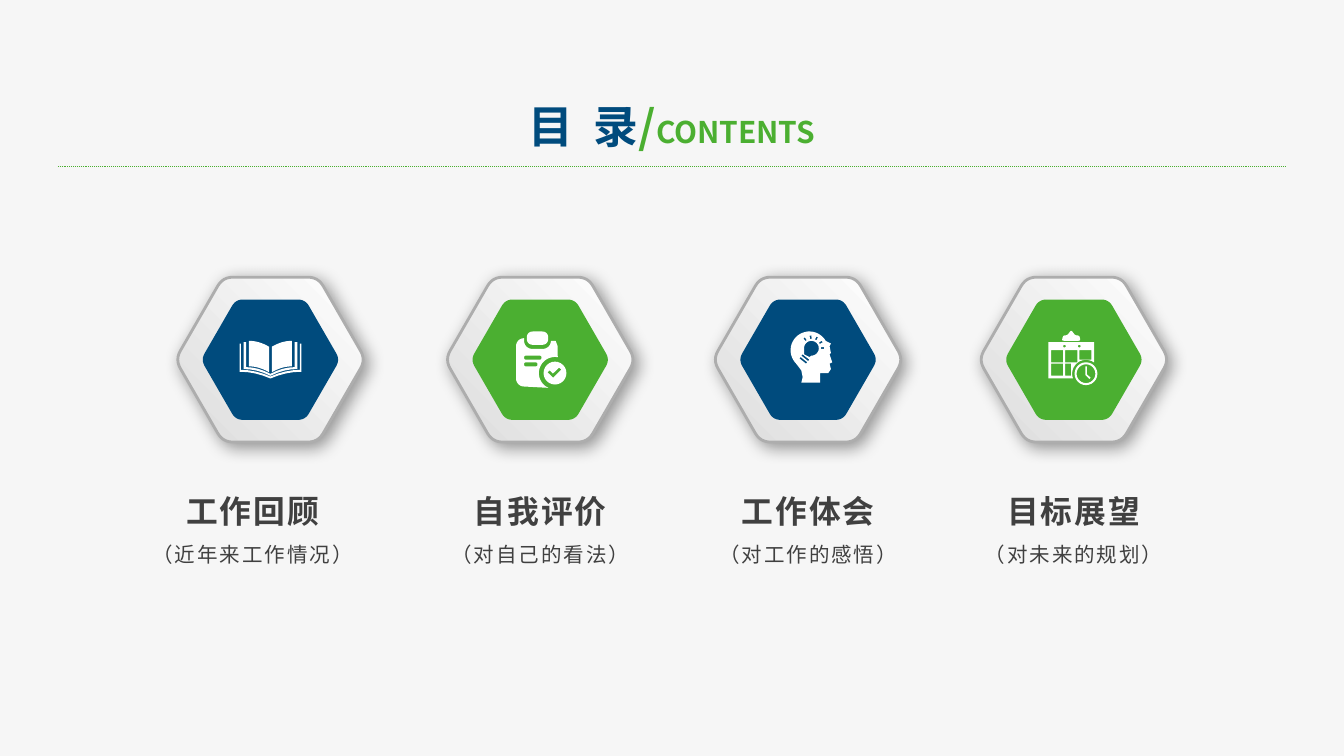
from math import cos, hypot, radians, sin

from lxml.etree import SubElement
from pptx import Presentation
from pptx.dml.color import RGBColor
from pptx.enum.dml import MSO_LINE
from pptx.enum.shapes import MSO_CONNECTOR
from pptx.enum.text import MSO_AUTO_SIZE, PP_ALIGN
from pptx.oxml import parse_xml
from pptx.oxml.ns import qn
from pptx.util import Pt

FONT = "Noto Sans CJK SC"
BLUE = RGBColor(0x00, 0x4B, 0x7D)
GREEN = RGBColor(0x4B, 0xAF, 0x31)
TEXT_GRAY = RGBColor(0x40, 0x40, 0x40)
EDGE_GRAY = RGBColor(0xAD, 0xAD, 0xAD)
PALE_GRAY = RGBColor(0xDC, 0xDC, 0xDC)
WHITE = RGBColor(0xFF, 0xFF, 0xFF)
BACKGROUND = RGBColor(0xF6, 0xF6, 0xF6)

TITLE = [("目  录", 24, BLUE), ("/", 24, GREEN), ("CONTENTS", 16, GREEN)]
# Hexagon centre, label centre, label width, heading, note, colour, icon
TOPICS = [
    (144.9, 135.4, 124, "工作回顾", "（近年来工作情况）", BLUE, "book"),
    (289.4, 289.5, 112, "自我评价", "（对自己的看法）", GREEN, "checklist"),
    (432.9, 433, 112, "工作体会", "（对工作的感悟）", BLUE, "idea"),
    (575.3, 575.2, 112, "目标展望", "（对未来的规划）", GREEN, "schedule"),
]

HEXAGON_Y = 192.7
PLATE_RADIUS, PLATE_CUT = 51, 5.4
CORE_SCALE = 0.73  # coloured hexagon against the plate
ICON_SCALE = 0.72  # points per step of the icon grid
LABEL_TOP, LABEL_HEIGHT = 249.8, 58.3
SHADOW = (
    '<a:effectLst xmlns:a="http://schemas.openxmlformats.org/drawingml/2006/main">'
    '<a:outerShdw blurRad="114300" dist="38100" dir="2700000" algn="tl" rotWithShape="0">'
    '<a:srgbClr val="000000"><a:alpha val="40000"/></a:srgbClr></a:outerShdw></a:effectLst>'
)


# --- Outlines: lists of points around (0, 0), y pointing down ---

def arc(x, y, radius, start, end, steps=24):
    angles = [radians(start + (end - start) * i / steps) for i in range(steps + 1)]
    return [(x + radius * cos(a), y + radius * sin(a)) for a in angles]


def disc(x, y, radius):
    return arc(x, y, radius, 0, 360)


def toward(start, end, distance):
    share = distance / hypot(end[0] - start[0], end[1] - start[1])
    return tuple(a + (b - a) * share for a, b in zip(start, end))


def rounded(corners, cut, steps=6):
    """Replace each corner by a curve that begins and ends `cut` away from it."""
    points = []
    for i, corner in enumerate(corners):
        first = toward(corner, corners[i - 1], cut)
        last = toward(corner, corners[(i + 1) % len(corners)], cut)
        for t in (step / steps for step in range(steps + 1)):
            points.append(tuple((1 - t) ** 2 * a + 2 * t * (1 - t) * b + t * t * c
                                for a, b, c in zip(first, corner, last)))
    return points


def block(left, top, right, bottom, cut=0):
    corners = [(left, top), (right, top), (right, bottom), (left, bottom)]
    return rounded(corners, cut) if cut else corners


def hexagon(radius, cut):
    return rounded(arc(0, 0, radius, 0, 300, 5), cut)


# --- Icons: lists of outlines; an outline inside another one is a hole ---

def book():
    def leaf_edge(start, end, outer_y, sag=5, steps=8):
        """Curve that dips by `sag` toward the spine at x = 0."""
        reach = max(abs(start), abs(end))
        xs = [start + (end - start) * i / steps for i in range(steps + 1)]
        return [(x, outer_y + sag * (1 - abs(x) / reach) ** 2) for x in xs]

    def cover(reach, thickness, top, outer_y):
        inner = reach - thickness
        return [(-reach, top), *leaf_edge(-reach, reach, outer_y), (reach, top),
                (inner, top), *leaf_edge(inner, -inner, outer_y - 1.4), (-inner, top)]

    pages = [leaf_edge(side, side * 16, -14) + leaf_edge(side * 16, side, 5)
             for side in (-1, 1)]
    return pages + [cover(20, 2, -13, 7), cover(23, 1, -12, 9)]


def checklist():
    badge_x, badge_y, badge_radius, gap = 11, 10, 8.5, 3.5
    clip = block(-10, -21, 6, -11, 5)
    clip_notch = arc(-6, -14, 6, 180, 90, 6) + arc(2, -14, 6, 90, 0, 6)
    badge_notch = arc(badge_x, badge_y, badge_radius + gap, -80, -246)
    sheet = [*clip_notch, (11.5, -14), (13, -10), *badge_notch,
             *arc(-12, 14, 6, 90, 180, 6), *arc(-12, -10, 6, 180, 270, 6)]
    text_lines = [block(-12, y, right, y + 3, 1.4) for y, right in ((-3, 1), (2, -2))]
    tick = [(5.5, 9.5), (7, 8), (9.5, 10.3), (14, 6), (15.8, 7.3), (9.7, 13.5)]
    return [clip, sheet, *text_lines, disc(badge_x, badge_y, badge_radius), tick]


def idea():
    bulb_x, bulb_y, bulb_radius = 2.5, -8.5, 5.5
    skull = arc(1, -7, 14, 135, 330)
    face = [(17, -12), (16, -10), (17, -5), (16, -4), (18, 2), (16, 3), (17, 7), (15, 10)]
    neck = [(9, 10), (9, 17), (-5, 17), (-4, 13), (-5, 8)]
    bulb = arc(bulb_x, bulb_y, bulb_radius, 180, 450) + [(1, -2), (-3, -4)]
    socket = [[(x, y), (x - 1, y + 1), (x + 4, y + 5), (x + 5, y + 4)]
              for x, y in ((-4, -4), (-5.5, -2))]
    rays = [arc(bulb_x, bulb_y, 7, angle - 5, angle + 5, 1)
            + arc(bulb_x, bulb_y, 9.5, angle + 4, angle - 4, 1)
            for angle in range(-125, 1, 31)]
    return [skull + face + neck, bulb, *socket, *rays]


def schedule():
    clock_x, clock_y, clock_radius = 9, 10.5, 8.5
    clip = rounded([(-9, -14), (-8, -18), (-5, -18), (-2, -22), (1, -18), (4, -18),
                    (5, -14)], 1.5)
    clock_notch = arc(clock_x, clock_y, clock_radius + 1.8, -54, -200)
    sheet = [(-19, -13), (15, -13), *clock_notch, (-19, 14)]
    rings = [disc(x, -10, 1) for x in (-7, 4)]
    # Column, row, width, height: cells beside the clock are shorter
    cells = [(0, 0, 9, 9), (1, 0, 9, 9), (2, 0, 9, 7), (0, 1, 9, 9), (1, 1, 4.5, 9)]
    days = []
    for column, row, width, height in cells:
        left, top = -17 + column * 10.5, -7 + row * 10
        days.append(block(left, top, left + width, top + height))
    dial = [disc(clock_x, clock_y, radius) for radius in (clock_radius, clock_radius - 1.5)]
    hands = [(8.5, 5), (9.7, 5), (9.7, 11), (12.5, 13.5), (11.5, 14.5), (8.5, 11.5)]
    return [clip, sheet, *rings, *days, *dial, hands]


ICONS = {"book": book, "checklist": checklist, "idea": idea, "schedule": schedule}


# --- Slide parts ---

def fill_solid(shape, color):
    shape.fill.solid()
    shape.fill.fore_color.rgb = color


def draw_outlines(page, outlines, x, scale, color):
    """Draw all outlines as one shape centred on x in the hexagon row."""
    placed = [[(Pt(x + px * scale), Pt(HEXAGON_Y + py * scale)) for px, py in outline]
              for outline in outlines]
    builder = page.shapes.build_freeform(*placed[0][0])
    for outline in placed:
        builder.move_to(*outline[0])
        builder.add_line_segments(outline[1:])
    shape = builder.convert_to_shape()
    shape.shadow.inherit = False
    shape.line.fill.background()
    fill_solid(shape, color)
    return shape


def style_plate(plate):
    plate.fill.gradient()
    plate.fill.gradient_angle = 225
    for stop, color in zip(plate.fill.gradient_stops, (WHITE, PALE_GRAY)):
        stop.color.rgb = color
    plate.line.color.rgb = EDGE_GRAY
    plate.line.width = Pt(1.5)
    properties = plate._element.spPr
    properties.replace(properties.find(qn("a:effectLst")), parse_xml(SHADOW))


def add_badge(page, x, color, icon):
    plate = hexagon(PLATE_RADIUS, PLATE_CUT)
    style_plate(draw_outlines(page, [plate], x, 1, WHITE))
    draw_outlines(page, [plate], x, CORE_SCALE, color)
    draw_outlines(page, ICONS[icon](), x, ICON_SCALE, WHITE)


def add_box(page, left, top, width, height, wrap):
    box = page.shapes.add_textbox(Pt(left), Pt(top), Pt(width), Pt(height))
    box.text_frame.word_wrap = wrap
    box.text_frame.auto_size = MSO_AUTO_SIZE.SHAPE_TO_FIT_TEXT
    return box.text_frame


def add_span(para, text, size, color, bold=True, spacing=0):
    para.alignment = PP_ALIGN.CENTER
    span = para.add_run()
    span.text = text
    span.font.name = FONT
    span.font.size = Pt(size)
    span.font.bold = bold
    span.font.color.rgb = color
    properties = span.font._element
    SubElement(properties, qn("a:ea")).set("typeface", FONT)
    if spacing:
        properties.set("spc", str(spacing * 100))


def add_label(page, center, width, heading, note):
    frame = add_box(page, center - width / 2, LABEL_TOP, width, LABEL_HEIGHT, False)
    add_span(frame.paragraphs[0], heading, 17, TEXT_GRAY, True, 1)
    add_span(frame.add_paragraph(), note, 11, TEXT_GRAY, False, 1)
    for para in frame.paragraphs:
        para.line_spacing = 1.5


def add_title(page):
    para = add_box(page, 252.3, 49.3, 215.3, 36, True).paragraphs[0]
    for text, size, color in TITLE:
        add_span(para, text, size, color)
    rule = page.shapes.add_connector(MSO_CONNECTOR.STRAIGHT, Pt(31), Pt(89.3), Pt(689), Pt(89.3))
    rule.line.color.rgb = GREEN
    rule.line.width = Pt(0.5)
    rule.line.dash_style = MSO_LINE.ROUND_DOT
    SubElement(rule._element.spPr, qn("a:effectLst"))


def main():
    deck = Presentation()
    deck.slide_width, deck.slide_height = Pt(720), Pt(405)
    page = deck.slides.add_slide(deck.slide_layouts[6])
    fill_solid(page.background, BACKGROUND)
    add_title(page)
    for x, label_x, width, heading, note, color, icon in TOPICS:
        add_label(page, label_x, width, heading, note)
        add_badge(page, x, color, icon)
    deck.save("out.pptx")


if __name__ == "__main__":
    main()
